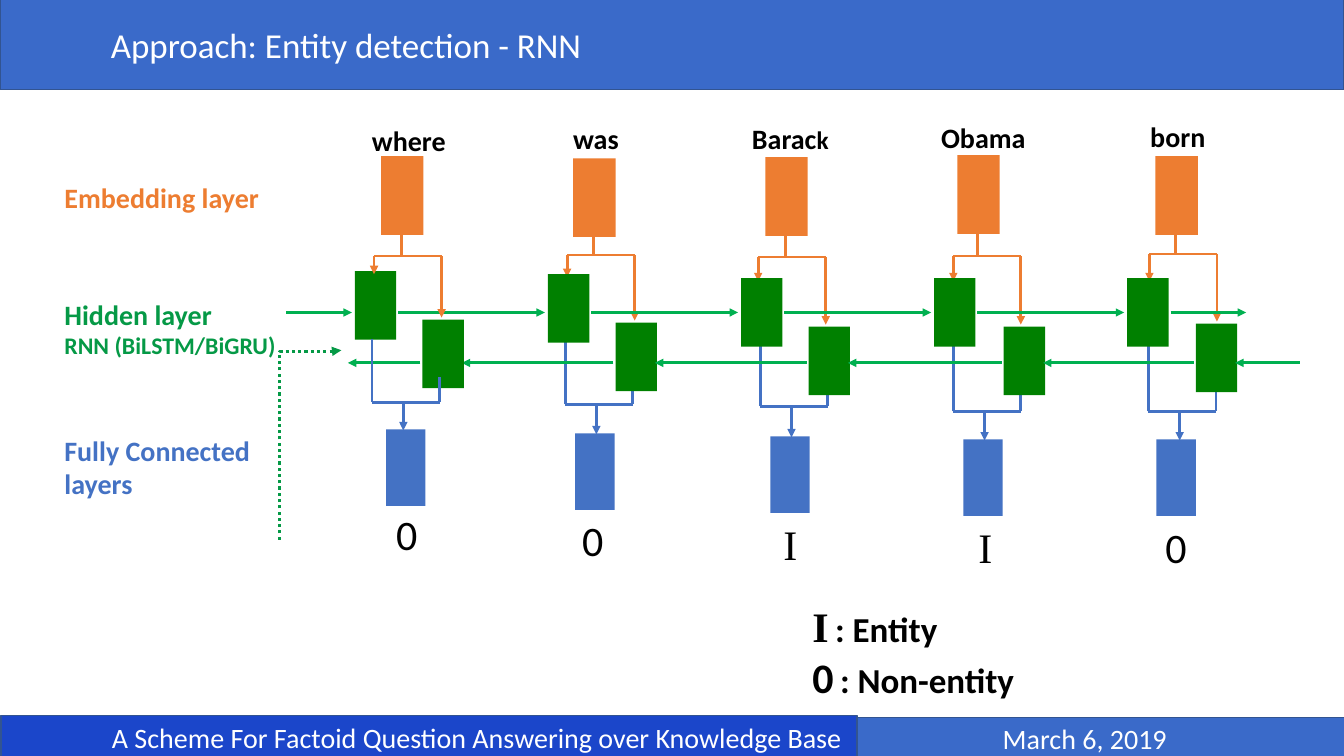
from collections import namedtuple

from lxml import etree
from pptx import Presentation
from pptx.dml.color import RGBColor
from pptx.enum.dml import MSO_LINE
from pptx.enum.shapes import MSO_CONNECTOR, MSO_SHAPE
from pptx.enum.text import MSO_ANCHOR, PP_ALIGN
from pptx.oxml.ns import qn
from pptx.util import Inches, Pt

RECTANGLE = MSO_SHAPE.RECTANGLE
STRAIGHT, ELBOW = MSO_CONNECTOR.STRAIGHT, MSO_CONNECTOR.ELBOW
DOTTED = MSO_LINE.ROUND_DOT
TOP, MIDDLE = MSO_ANCHOR.TOP, MSO_ANCHOR.MIDDLE
LEFT, CENTER = PP_ALIGN.LEFT, PP_ALIGN.CENTER

WHITE = RGBColor(0xFF, 0xFF, 0xFF)
BLACK = RGBColor(0x00, 0x00, 0x00)
BAR_BLUE = RGBColor(0x3A, 0x6A, 0xC9)
FOOTER_BLUE = RGBColor(0x1B, 0x46, 0xCA)
BAR_EDGE = RGBColor(0x32, 0x54, 0x91)
ORANGE = RGBColor(0xED, 0x7D, 0x31)
CELL_GREEN = RGBColor(0x00, 0x80, 0x00)
FLOW_GREEN = RGBColor(0x00, 0xB0, 0x50)
LABEL_GREEN = RGBColor(0x05, 0x99, 0x46)
BLUE = RGBColor(0x44, 0x72, 0xC4)

SANS, SERIF = "Calibri", "Times New Roman"
COLUMN_PITCH = 1.915
EMBED_SIZE, CELL_SIZE, DENSE_SIZE = (0.42, 0.78), (0.41, 0.68), (0.39, 0.76)
BRANCH_WIDTH = 0.67

Column = namedtuple("Column", "word mark mark_font word_at embed fork forward backward join dense mark_at")
COLUMNS = [
    Column([("where", 20)], "0", SANS, (0.07, 0.18), (0.26, 0.55), (0.19, 1.54),
           (0, 1.69), (0.67, 2.17), (0.17, 2.99), (0.31, 3.26), (0.31, 4.0)),
    Column([("was", 20)], "0", SANS, (0.15, 0.16), (0.25, 0.57), (0.19, 1.53),
           (0, 1.72), (0.67, 2.2), (0.17, 3.01), (0.27, 3.3), (0.24, 4.06)),
    Column([("Barac", 20), ("k", 18)], "I", SERIF, (0.01, 0.16), (0.24, 0.56), (0.17, 1.55),
           (0, 1.76), (0.67, 2.24), (0.19, 3.03), (0.29, 3.33), (0.32, 4.09)),
    Column([("Obama", 20)], "I", SERIF, (-0.03, 0.15), (0.23, 0.54), (0.19, 1.54),
           (0, 1.76), (0.69, 2.24), (0.19, 3.08), (0.29, 3.36), (0.34, 4.12)),
    Column([("born", 20)], "0", SANS, (0.13, 0.14), (0.28, 0.55), (0.22, 1.52),
           (0, 1.76), (0.68, 2.21), (0.21, 3.08), (0.29, 3.36), (0.28, 4.12)),
]


def add_span(para, text, size, color, font=SANS, bold=False):
    span = para.add_run()
    span.text = text
    for name, value in {"name": font, "size": Pt(size), "bold": bold}.items():
        setattr(span.font, name, value)
    span.font.color.rgb = color


def add_text(page, left, top, width, height, paras, color, bold=False, wrap=True):
    box = page.shapes.add_textbox(Inches(left), Inches(top), Inches(width), Inches(height))
    frame = box.text_frame
    for name, value in {"word_wrap": wrap, "vertical_anchor": TOP}.items():
        setattr(frame, name, value)
    for index, spans in enumerate(paras):
        para = frame.paragraphs[0] if index == 0 else frame.add_paragraph()
        for text, size, *font in spans:
            add_span(para, text, size, color, *(font or [SANS]), bold)


def add_block(page, left, top, width, height, fill, edge=None):
    block = page.shapes.add_shape(RECTANGLE, Inches(left), Inches(top), Inches(width), Inches(height))
    block.shadow.inherit = False
    block.fill.solid()
    block.fill.fore_color.rgb = fill
    if edge is None:
        block.line.fill.background()
    else:
        block.line.color.rgb = edge
        block.line.width = Pt(1)
    return block


def add_line(page, start, end, color, arrow=False, kind=STRAIGHT, width=2, dash=None):
    line = page.shapes.add_connector(kind, *map(Inches, (*start, *end)))
    line.line.color.rgb = color
    line.line.width = Pt(width)
    if dash:
        line.line.dash_style = dash
    properties = line.element.spPr
    if arrow:
        etree.SubElement(properties.find(qn("a:ln")), qn("a:tailEnd"), type="triangle")
    etree.SubElement(properties, qn("a:effectLst"))
    return line


def draw_bar(page, left, top, width, height, text, size, fill, margins, align=LEFT):
    bar = add_block(page, left, top, width, height, fill, BAR_EDGE)
    frame = bar.text_frame
    margin_left, margin_right = map(Inches, margins)
    layout = {"word_wrap": True, "vertical_anchor": MIDDLE,
              "margin_left": margin_left, "margin_right": margin_right}
    for name, value in layout.items():
        setattr(frame, name, value)
    frame.paragraphs[0].alignment = align
    add_span(frame.paragraphs[0], text, size, WHITE)


def draw_links(page, column, left, top):
    fork_x, fork_y = left + column.fork[0], top + column.fork[1]
    join_x, join_y = left + column.join[0], top + column.join[1]
    embed_x = left + column.embed[0] + 0.2
    embed_y = top + column.embed[1] + EMBED_SIZE[1] - 0.03
    forward_y, backward_y = top + column.forward[1], top + column.backward[1]
    fork_right, join_right, stem_x = fork_x + BRANCH_WIDTH, join_x + BRANCH_WIDTH, join_x + 0.31

    add_line(page, (stem_x, join_y), (stem_x, top + column.dense[1] + 0.01), BLUE, True)
    add_line(page, (join_x, join_y), (join_right, join_y), BLUE)
    add_line(page, (join_x, join_y), (join_x, forward_y + 0.67), BLUE)
    add_line(page, (join_right, join_y), (join_right, backward_y + 0.57), BLUE)
    add_line(page, (fork_right, fork_y), (fork_x, fork_y), ORANGE)
    add_line(page, (fork_x, fork_y), (fork_x, forward_y + 0.03), ORANGE, True)
    add_line(page, (fork_right, fork_y), (fork_right, backward_y - 0.02), ORANGE, True)
    add_line(page, (embed_x, fork_y), (embed_x, embed_y), ORANGE)


def draw_cells(page, column, left, top):
    for x, y in (column.backward, column.forward):
        add_block(page, left + x, top + y, *CELL_SIZE, CELL_GREEN)


def draw_ends(page, column, left, top):
    add_block(page, left + column.embed[0], top + column.embed[1], *EMBED_SIZE, ORANGE)
    add_block(page, left + column.dense[0], top + column.dense[1], *DENSE_SIZE, BLUE)
    word_x, word_y = column.word_at
    add_text(page, left + word_x, top + word_y, 1.05, 0.44, [column.word], BLACK, True, False)
    mark_x, mark_y = column.mark_at
    add_text(page, left + mark_x, top + mark_y, 0.42, 0.61,
             [[(column.mark, 30, column.mark_font)]], BLACK, wrap=False)


def draw_flow(page, lefts, top):
    forward_y, backward_y = top + 2.1, top + 2.6
    backs = [left + column.backward[0] for left, column in zip(lefts, COLUMNS)]
    starts = [lefts[0] - 0.68] + [left + 0.43 for left in lefts]
    ends = [left - 0.03 for left in lefts] + [lefts[-1] + 1.18]
    tips = [backs[0] - 0.74] + [back + 0.39 for back in backs]
    tails = [back - 0.02 for back in backs] + [backs[-1] + 1.03]
    for start, end, tail, tip in zip(starts, ends, tails, tips):
        add_line(page, (start, forward_y), (end, forward_y), FLOW_GREEN, True)
        add_line(page, (tail, backward_y), (tip, backward_y), FLOW_GREEN, True)


def draw_network(page, left, top):
    lefts = [left + index * COLUMN_PITCH for index in range(len(COLUMNS))]
    placed = list(zip(COLUMNS, lefts))
    for draw in (draw_links, draw_cells):
        for column, column_left in placed[1:]:
            draw(page, column, column_left, top)
    draw_flow(page, lefts, top)
    for draw in (draw_cells, draw_links):
        draw(page, COLUMNS[0], left, top)
    for column, column_left in placed:
        draw_ends(page, column, column_left, top)


def draw_labels(page, left, top):
    width = 2.32
    hidden = [[("Hidden layer", 20)], [("RNN (BiLSTM/BiGRU)", 17)]]
    add_text(page, left, top + 1.16, width, 1.06, hidden, LABEL_GREEN, True)
    add_text(page, left, top, width, 0.53, [[("Embedding layer", 20)]], ORANGE, True)
    add_text(page, left, top + 2.51, width, 0.76, [[("Fully Connected layers", 20)]], BLUE, True)
    pointer = add_line(page, (left + 3.48, top + 2.98), (left + 1.6, top + 2.37), LABEL_GREEN,
                       True, ELBOW, 2.25, DOTTED)
    pointer.element.spPr.find(qn("a:xfrm")).set("rot", "5400000")
    adjustments = pointer.element.spPr.find(qn("a:prstGeom")).find(qn("a:avLst"))
    etree.SubElement(adjustments, qn("a:gd"), name="adj1", fmla="val 99500")


def draw_legend(page, left, top):
    add_text(page, left, top, 2.55, 0.99,
             [[("I", 30, SERIF), (" ", 20), (": Entity", 25)],
              [("0", 30), (" ", 20), (": Non-entity", 25)]], BLACK, True)


def main():
    deck = Presentation()
    deck.slide_width, deck.slide_height = Inches(13.33), Inches(7.5)
    page = deck.slides.add_slide(deck.slide_layouts[6])
    draw_bar(page, 0, -0.01, 13.33, 0.9, "Approach: Entity detection - RNN", 25, BAR_BLUE, (1.1, 0.1))
    draw_bar(page, 0.01, 7.1, 8.49, 0.43, "A Scheme For Factoid Question Answering over Knowledge Base",
             20, FOOTER_BLUE, (1.1, 0))
    draw_bar(page, 8.5, 7.12, 4.85, 0.41, "March 6, 2019", 20, BAR_BLUE, (0.1, 0.43), CENTER)
    draw_network(page, 3.52, 1)
    draw_labels(page, 0.54, 1.74)
    draw_legend(page, 7.96, 5.91)
    deck.save("out.pptx")


if __name__ == "__main__":
    main()
